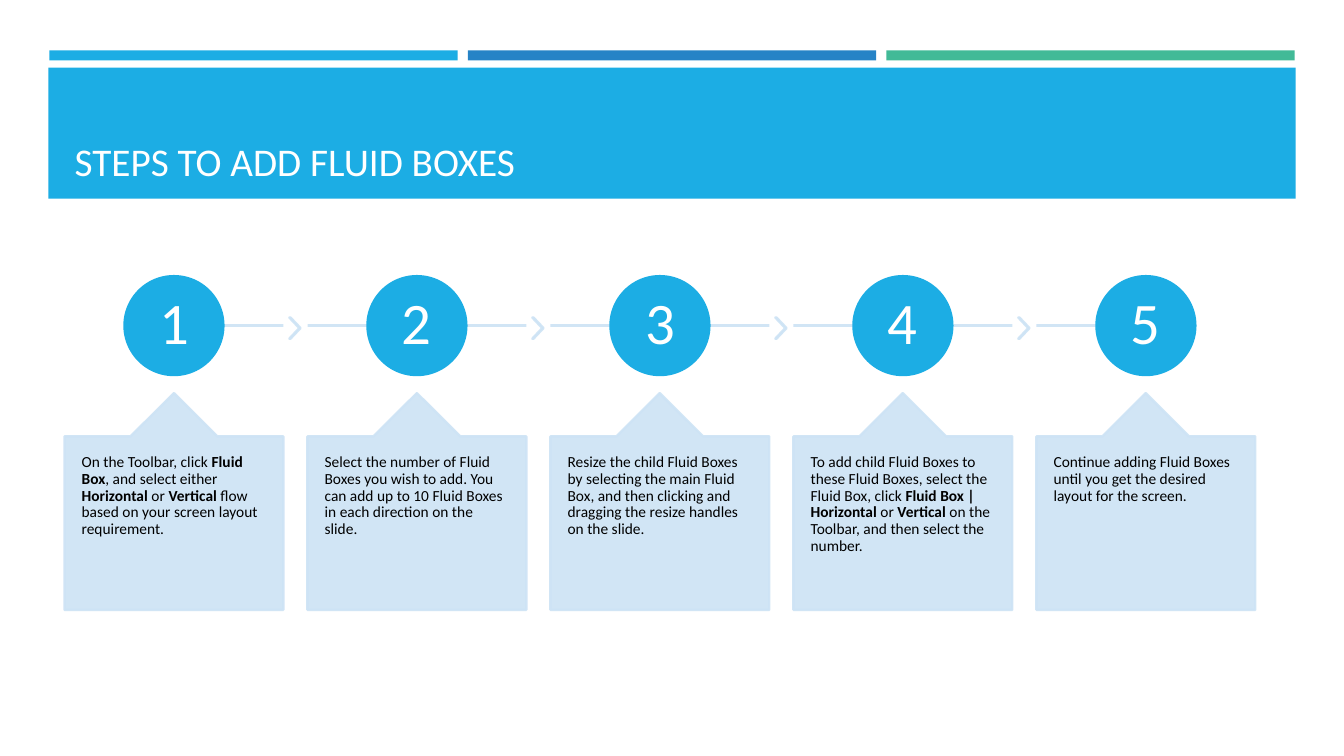
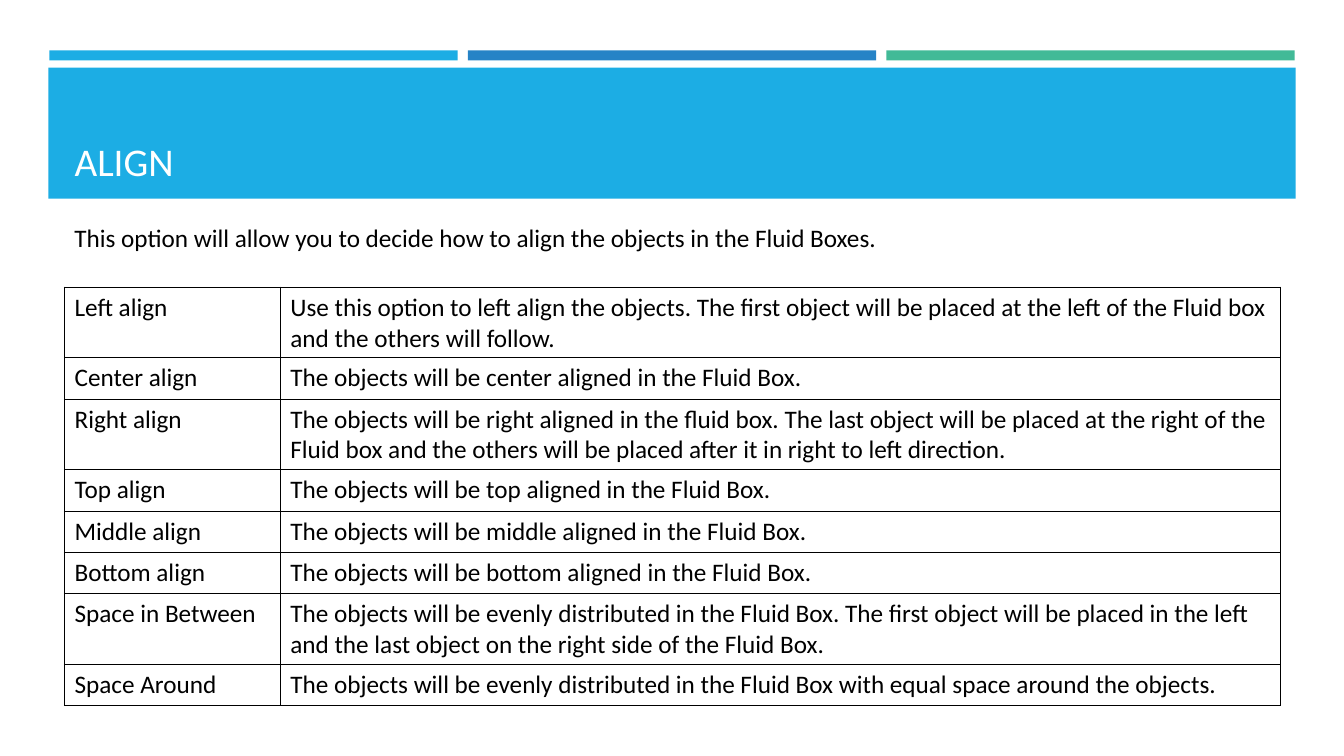
from dataclasses import dataclass

import lxml.etree
import pptx
import pptx.dml.color
import pptx.enum.shapes
import pptx.enum.text
import pptx.oxml.ns
import pptx.shapes.autoshape
import pptx.shapes.base
import pptx.slide
import pptx.text.text
import pptx.util

Inches = pptx.util.Inches
Pt = pptx.util.Pt
qn = pptx.oxml.ns.qn
Shape = pptx.enum.shapes.MSO_SHAPE
Anchor = pptx.enum.text.MSO_ANCHOR
Align = pptx.enum.text.PP_ALIGN

FONT = "Calibri"
COLORS = {
    "sky": "1CADE4",
    "blue": "2683C6",
    "green": "42BA97",
    "pale": "CDE3F5",
    "white": "FFFFFF",
    "black": "000000",
}
LEFT = 0.64
CONTENT_WIDTH = 12.06
PALE_OPACITY = 90
OUTLINE = 1.75


@dataclass(frozen=True)
class Band:
    left: float
    top: float
    width: float
    height: float
    color: str


@dataclass(frozen=True)
class AlignOption:
    name: str
    effect: str


BANDS = [Band(0.48, 0.67, 12.37, 1.3, "sky")] + [
    Band(0.49 + 4.15 * i, 0.5, 4.05, 0.1, color)
    for i, color in enumerate(("sky", "blue", "green"))
]

# Double asterisks enclose bold words.
STEPS = [
    "On the Toolbar, click **Fluid Box**, and select either **Horizontal** or "
    "**Vertical** flow based on your screen layout requirement.",
    "Select the number of Fluid Boxes you wish to add. You can add up to 10 "
    "Fluid Boxes in each direction on the slide.",
    "Resize the child Fluid Boxes by selecting the main Fluid Box, and then "
    "clicking and dragging the resize handles on the slide.",
    "To add child Fluid Boxes to these Fluid Boxes, select the Fluid Box, click "
    "**Fluid Box | Horizontal **or **Vertical **on the Toolbar, and then select "
    "the number.",
    "Continue adding Fluid Boxes until you get the desired layout for the screen.",
]
STEP_PITCH = 2.41
STEP_WIDTH = 2.17
CIRCLE_SIZE = 0.98
CIRCLE_TOP = 2.74
TRACK_Y = CIRCLE_TOP + CIRCLE_SIZE / 2
CALLOUT_TIP, CALLOUT_TOP, CALLOUT_BOTTOM = 3.9, 4.33, 6.05

ALIGN_OPTIONS = [
    AlignOption("Left align", "Use this option to left align the objects. The first object "
                "will be placed at the left of the Fluid box and the others will follow."),
    AlignOption("Center align", "The objects will be center aligned in the Fluid Box."),
    AlignOption("Right align", "The objects will be right aligned in the fluid box. The last "
                "object will be placed at the right of the Fluid box and the others will be "
                "placed after it in right to left direction."),
    AlignOption("Top align", "The objects will be top aligned in the Fluid Box."),
    AlignOption("Middle align", "The objects will be middle aligned in the Fluid Box."),
    AlignOption("Bottom align", "The objects will be bottom aligned in the Fluid Box."),
    AlignOption("Space in Between", "The objects will be evenly distributed in the Fluid Box. "
                "The first object will be placed in the left and the last object on the right "
                "side of the Fluid Box."),
    AlignOption("Space Around", "The objects will be evenly distributed in the Fluid Box with "
                "equal space around the objects."),
]
OPTION_COLUMNS = (2.14, 9.92)
OPTION_ROW = 0.41


def rgb(color: str) -> pptx.dml.color.RGBColor:
    return pptx.dml.color.RGBColor.from_string(COLORS[color])


def write_text(
    frame: pptx.text.text.TextFrame,
    text: str,
    *,
    size: float,
    color: str = "black",
    align: Align = Align.LEFT,
    anchor: Anchor = Anchor.TOP,
    line_spacing: float = 1.0,
    insets: tuple[float, float, float, float] | None = None,
    wrap: bool = True,
) -> None:
    """Fill a frame with one paragraph; insets run left, top, right, bottom."""
    frame.word_wrap = wrap
    frame.vertical_anchor = anchor
    if insets:
        (frame.margin_left, frame.margin_top,
         frame.margin_right, frame.margin_bottom) = map(Inches, insets)
    paragraph = frame.paragraphs[0]
    paragraph.alignment = align
    paragraph.line_spacing = line_spacing
    for i, part in enumerate(text.split("**")):
        if part:
            run = paragraph.add_run()
            run.text = part
            run.font.name = FONT
            run.font.size = Pt(size)
            run.font.bold = i % 2 == 1
            run.font.color.rgb = rgb(color)


def paint(shape: pptx.shapes.autoshape.Shape, color: str, outline: float = 0) -> None:
    shape.shadow.inherit = False
    shape.fill.solid()
    shape.fill.fore_color.rgb = rgb(color)
    if outline:
        shape.line.color.rgb = rgb(color)
        shape.line.width = Pt(outline)
    else:
        shape.line.fill.background()


def set_opacity(shape: pptx.shapes.base.BaseShape, percent: int) -> None:
    for color in shape.element.iter(qn("a:srgbClr")):
        lxml.etree.SubElement(color, qn("a:alpha"), val=str(percent * 1000))


def add_titled_slide(
    deck: pptx.presentation.Presentation, layout: pptx.slide.SlideLayout, heading: str
) -> pptx.slide.Slide:
    slide = deck.slides.add_slide(layout)
    title = slide.shapes.title
    title.left, title.top = Inches(LEFT), Inches(0.77)
    title.width, title.height = Inches(CONTENT_WIDTH), Inches(1.11)
    title.text_frame.auto_size = pptx.enum.text.MSO_AUTO_SIZE.NONE
    write_text(title.text_frame, heading, size=28, color="white", anchor=Anchor.BOTTOM)
    return slide


def add_bands(slide: pptx.slide.Slide) -> None:
    """Draw the header bands and hand them to the slide's layout, behind its title."""
    layout_tree = slide.slide_layout.shapes.element
    for position, band in enumerate(BANDS, start=2):
        shape = slide.shapes.add_shape(
            Shape.RECTANGLE, Inches(band.left), Inches(band.top),
            Inches(band.width), Inches(band.height))
        paint(shape, band.color)
        layout_tree.insert(position, shape.element)


def add_track(slide: pptx.slide.Slide, start: float, end: float) -> None:
    track = slide.shapes.add_connector(
        pptx.enum.shapes.MSO_CONNECTOR.STRAIGHT,
        Inches(start), Inches(TRACK_Y), Inches(end), Inches(TRACK_Y))
    track.line.color.rgb = rgb("pale")
    track.line.width = Pt(2)
    lxml.etree.SubElement(track.element.spPr, qn("a:effectLst"))
    set_opacity(track, PALE_OPACITY)


def add_chevron(slide: pptx.slide.Slide, left: float) -> None:
    chevron = slide.shapes.add_shape(
        Shape.CHEVRON, Inches(left), Inches(3.15), Inches(0.11), Inches(0.21))
    chevron.adjustments[0] = 0.9
    paint(chevron, "pale", OUTLINE)
    set_opacity(chevron, PALE_OPACITY)


def add_step(slide: pptx.slide.Slide, index: int, instruction: str) -> None:
    left = LEFT + index * STEP_PITCH
    right = left + STEP_WIDTH
    center = left + STEP_WIDTH / 2
    is_first, is_last = index == 0, index == len(STEPS) - 1

    add_track(slide, center if is_first else left, center if is_last else right)
    if not is_last:
        add_chevron(slide, right + 0.06)

    circle = slide.shapes.add_shape(
        Shape.OVAL, Inches(center - CIRCLE_SIZE / 2), Inches(CIRCLE_TOP),
        Inches(CIRCLE_SIZE), Inches(CIRCLE_SIZE))
    paint(circle, "sky", OUTLINE)
    write_text(circle.text_frame, str(index + 1), size=42, color="white",
               align=Align.CENTER, anchor=Anchor.MIDDLE, line_spacing=0.9,
               insets=(0.18, 0.18, 0.18, 0.18))

    half_tip = CALLOUT_TOP - CALLOUT_TIP
    outline = [
        (left, CALLOUT_TOP), (center - half_tip, CALLOUT_TOP), (center, CALLOUT_TIP),
        (center + half_tip, CALLOUT_TOP), (right, CALLOUT_TOP),
        (right, CALLOUT_BOTTOM), (left, CALLOUT_BOTTOM),
    ]
    corners = [(Inches(x), Inches(y)) for x, y in outline]
    builder = slide.shapes.build_freeform(*corners[0])
    builder.add_line_segments(corners[1:], close=True)
    callout = builder.convert_to_shape()
    paint(callout, "pale", OUTLINE)
    set_opacity(callout, PALE_OPACITY)
    write_text(callout.text_frame, instruction, size=11, line_spacing=0.9,
               insets=(0.17, 0.61, 0.17, 0.18))


def add_option_table(slide: pptx.slide.Slide) -> None:
    table = slide.shapes.add_table(
        len(ALIGN_OPTIONS), len(OPTION_COLUMNS), Inches(LEFT), Inches(2.85),
        Inches(CONTENT_WIDTH), Inches(OPTION_ROW * len(ALIGN_OPTIONS))).table
    table.first_row = table.horz_banding = False
    for column, width in zip(table.columns, OPTION_COLUMNS):
        column.width = Inches(width)
    for row, option in zip(table.rows, ALIGN_OPTIONS):
        row.height = Inches(OPTION_ROW)
        for cell, text in zip(row.cells, (option.name, option.effect)):
            write_text(cell.text_frame, text, size=18)
            properties = cell._tc.get_or_add_tcPr()
            for side in ("a:lnL", "a:lnR", "a:lnT", "a:lnB"):
                border = lxml.etree.SubElement(properties, qn(side), w=str(Pt(1)))
                fill = lxml.etree.SubElement(border, qn("a:solidFill"))
                lxml.etree.SubElement(fill, qn("a:srgbClr"), val=COLORS["black"])
            cell.fill.background()


def main() -> None:
    deck = pptx.Presentation()
    deck.slide_width, deck.slide_height = Inches(13.33), Inches(7.5)
    title_only = deck.slide_layouts[5]

    steps = add_titled_slide(deck, title_only, "STEPS TO ADD FLUID BOXES")
    add_bands(steps)
    for index, instruction in enumerate(STEPS):
        add_step(steps, index, instruction)

    align = add_titled_slide(deck, title_only, "ALIGN")
    intro = align.shapes.add_textbox(Inches(LEFT), Inches(2.16), Inches(8.4), Inches(0.4))
    write_text(intro.text_frame,
               "This option will allow you to decide how to align the objects in the "
               "Fluid Boxes.", size=18, wrap=False)
    add_option_table(align)

    deck.save("out.pptx")


if __name__ == "__main__":
    main()
